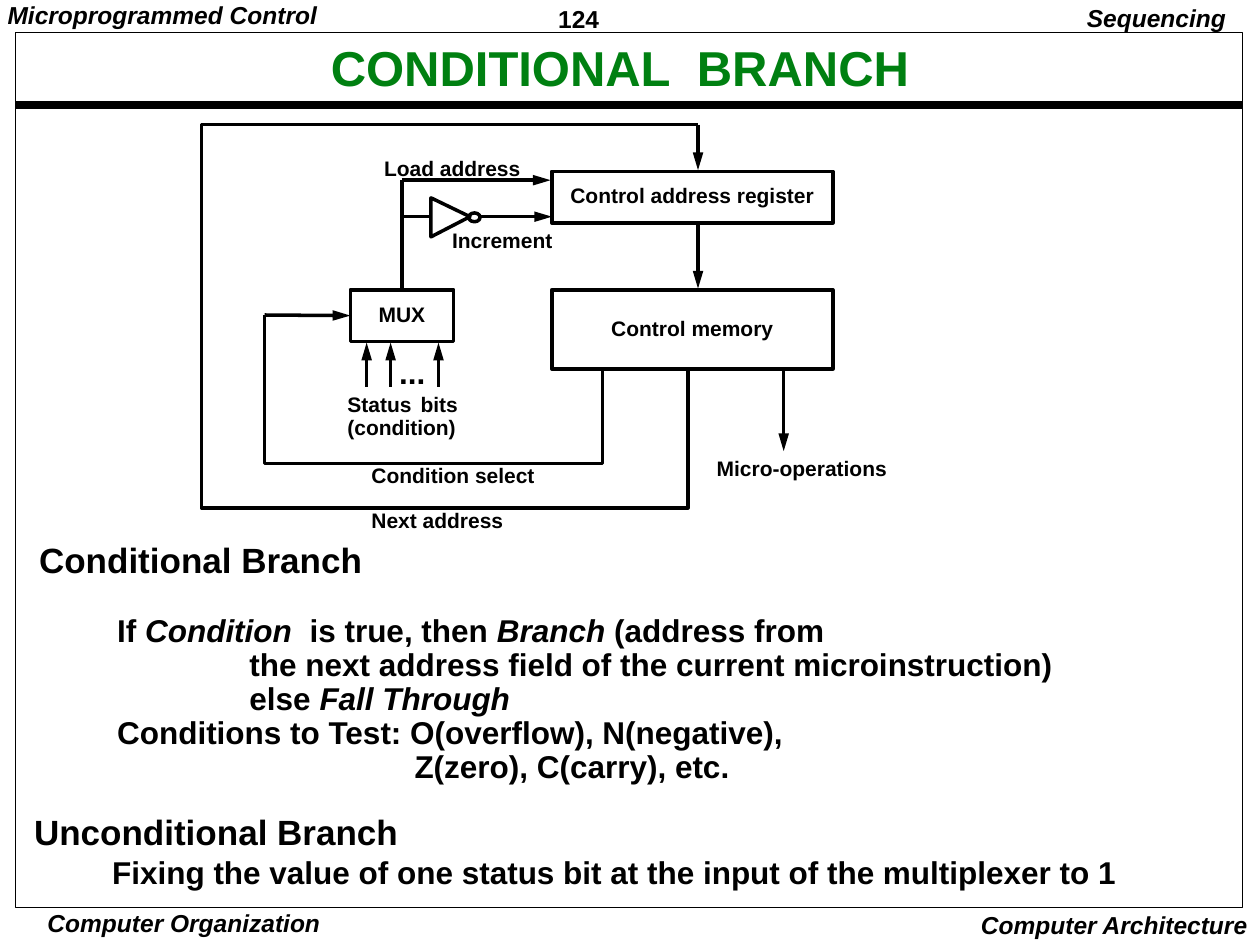
from lxml.etree import SubElement
from pptx import Presentation
from pptx.dml.color import RGBColor
from pptx.enum.shapes import MSO_CONNECTOR, MSO_SHAPE
from pptx.enum.text import MSO_ANCHOR, MSO_AUTO_SIZE, PP_ALIGN
from pptx.oxml.ns import qn
from pptx.util import Inches, Pt

BLACK = RGBColor(0, 0, 0)
GREEN = RGBColor(0, 0x80, 0x11)
FONT = "Arial"


def write(frame, lines, size=12, color=BLACK, italic=False, align=PP_ALIGN.LEFT,
          anchor=MSO_ANCHOR.TOP, inset=(0.1, 0.05), space=0.9):
    """Fill a frame; a line is text or (text, size, indent, points before).

    Asterisks in the text switch italic on and off.
    """
    frame.word_wrap = True
    frame.auto_size = MSO_AUTO_SIZE.NONE
    frame.vertical_anchor = anchor
    frame.margin_left = frame.margin_right = Inches(inset[0])
    frame.margin_top = frame.margin_bottom = Inches(inset[1])
    for n, line in enumerate(lines):
        text, pts, indent, before = (line, size, 0, 0) if isinstance(line, str) else line
        para = frame.paragraphs[0] if n == 0 else frame.add_paragraph()
        props = para._p.get_or_add_pPr()
        props.set("marL", str(Inches(indent)))
        props.set("indent", "0")
        SubElement(props, qn("a:buNone"))
        para.alignment = align
        para.line_spacing = space
        para.space_before = Pt(before)
        for k, part in enumerate(text.split("*")):
            if part:
                run = para.add_run()
                run.text = part
                font = run.font
                font.name, font.size, font.bold = FONT, Pt(pts), True
                font.italic = italic or k % 2 == 1
                font.color.rgb = color


def place(shape, x, y, w, h):
    shape.left, shape.top = Inches(x), Inches(y)
    shape.width, shape.height = Inches(w), Inches(h)


def label(slide, x, y, w, h, *lines, **style):
    area = slide.shapes.add_textbox(Inches(x), Inches(y), Inches(w), Inches(h))
    write(area.text_frame, lines, **style)


def outline(shape, width=2):
    shape.shadow.inherit = False
    shape.fill.background()
    shape.line.color.rgb = BLACK
    shape.line.width = Pt(width)
    return shape


def block(slide, x, y, w, h, *lines, kind=MSO_SHAPE.RECTANGLE, width=2):
    shape = slide.shapes.add_shape(kind, Inches(x), Inches(y), Inches(w), Inches(h))
    if lines:
        write(shape.text_frame, lines, align=PP_ALIGN.CENTER, anchor=MSO_ANCHOR.MIDDLE)
    return outline(shape, width)


def trace(slide, points, close=False):
    first, *rest = [(Inches(x), Inches(y)) for x, y in points]
    pen = slide.shapes.build_freeform(*first)
    pen.add_line_segments(rest, close=close)
    outline(pen.convert_to_shape())


def wire(slide, start, end, head=True, width=2, source=None, target=None):
    """Draw a line; source and target are (shape, side) pairs to join."""
    line = slide.shapes.add_connector(
        MSO_CONNECTOR.STRAIGHT, *(Inches(v) for v in (*start, *end)))
    line.line.color.rgb = BLACK
    line.line.width = Pt(width)
    if head:
        SubElement(line.line._get_or_add_ln(), qn("a:tailEnd"),
                   type="triangle", w="med", len="lg")
    SubElement(line._element.spPr, qn("a:effectLst"))
    if source:
        line.begin_connect(*source)
    if target:
        line.end_connect(*target)


def border(slide, x, y, w, h):
    """Frame, rule, header and footer around the slide's content."""
    base = y + h
    block(slide, x, y, w, h, width=0.5)
    wire(slide, (x, y + 0.57), (x + w, y + 0.57), head=False, width=4.5)
    tight = (0.07, 0.03)
    label(slide, x - 0.13, 0, 2.7, 0.27, "Microprogrammed Control",
          size=14, italic=True, inset=tight)
    label(slide, x + 4.24, 0, 1.08, 0.29, "124", size=14, inset=tight, space=1.01)
    label(slide, x + 8.21, 0, 1.5, 0.31, "Sequencing",
          size=14, italic=True, align=PP_ALIGN.RIGHT)
    label(slide, x + 0.13, base, 2.42, 0.26, "Computer Organization", size=14,
          italic=True, align=PP_ALIGN.CENTER, inset=(0.03, 0.01), space=1)
    label(slide, x + 7.46, base - 0.03, 2.42, 0.33, "Computer Architecture",
          size=14, italic=True, align=PP_ALIGN.RIGHT, space=1)


def diagram(slide, x, y):
    """Sequencing logic with its top left corner at x, y."""
    def at(dx, dy):
        return x + dx, y + dy

    feed, back, mux_mid, low = 3.94, 3.86, 1.59, 1.93
    block(slide, *at(2.78, 0.36), 2.23, 0.41, "Control address register")
    block(slide, *at(2.78, 1.3), 2.23, 0.63, "Control memory")
    mux = block(slide, *at(1.18, 1.3), 0.82, 0.41, "MUX")

    trace(slide, [at(back, low), at(back, 3.03), at(0, 3.03), at(0, -0.01),
                  at(feed, -0.01)])
    trace(slide, [at(3.18, low), at(3.18, 2.68), at(0.5, 2.68), at(0.5, 1.5)])
    trace(slide, [at(1.82, 0.57), at(2.13, 0.72), at(1.82, 0.88)], close=True)
    block(slide, *at(2.12, 0.69), 0.09, 0.07, kind=MSO_SHAPE.OVAL)

    wire(slide, at(feed, -0.01), at(feed, 0.35))
    wire(slide, at(feed, 0.77), at(feed, 1.29))
    wire(slide, at(4.62, low), at(4.62, 2.58))
    wire(slide, at(0.5, 1.5), at(1.18, 1.5), target=(mux, 1))
    wire(slide, at(mux_mid, 1.3), at(mux_mid, 0.43), head=False, source=(mux, 0))
    wire(slide, at(mux_mid, 0.43), at(2.77, 0.43))
    wire(slide, at(mux_mid, 0.72), at(1.82, 0.72), head=False)
    wire(slide, at(2.21, 0.72), at(2.78, 0.72))
    for dx in (1.31, 1.5, 1.88):
        wire(slide, at(dx, 2.07), at(dx, 1.72))

    for dx, dy, w, text in (
            (1.35, 0.21, 1.4, "Load address"), (1.89, 0.78, 1.1, "Increment"),
            (1.64, 2.08, 0.6, "bits"), (3.99, 2.59, 1.7, "Micro-operations"),
            (1.25, 2.64, 1.6, "Condition select"), (1.25, 3, 1.4, "Next address")):
        label(slide, *at(dx, dy), w, 0.28, text)
    label(slide, *at(1.06, 2.08), 1.16, 0.46, "Status", "(condition)")
    label(slide, *at(1.47, 1.79), 0.5, 0.37, "...", size=18)


def notes(slide, x, y, w):
    """Body list on the two kinds of branch."""
    body = slide.placeholders[1]
    place(body, x, y, w, 2.02)
    write(body.text_frame, [
        ("Conditional Branch", 20, 0, 0),
        ("If *Condition*  is true, then *Branch *(address from", 18, 0.62, 19.5),
        ("the next address field of the current microinstruction)", 18, 1.67, 0),
        ("else *Fall Through*", 18, 1.67, 0),
        ("Conditions to Test: O(overflow), N(negative),", 18, 0.62, 0),
        ("Z(zero), C(carry), etc.", 18, 2.98, 0)])
    label(slide, x - 0.01, y + 2.14, w, 0.7,
          ("Unconditional Branch", 20, 0, 0),
          ("Fixing the value of one status bit at the input of the multiplexer to 1",
           18, 0.62, 0), inset=(0.07, 0.03), space=1.01)


def main():
    deck = Presentation()
    deck.slide_width, deck.slide_height = Inches(10), Inches(7.5)
    slide = deck.slides.add_slide(deck.slide_layouts[1])
    border(slide, 0.12, 0.26, 9.74, 6.94)
    place(slide.shapes.title, 0.88, 0.37, 8.08, 0.38)
    write(slide.shapes.title.text_frame, ["CONDITIONAL  BRANCH"], size=28,
          color=GREEN, align=PP_ALIGN.CENTER, anchor=MSO_ANCHOR.MIDDLE)
    diagram(slide, 1.6, 1)
    notes(slide, 0.21, 4.26, 9.11)
    deck.save("out.pptx")


if __name__ == "__main__":
    main()
